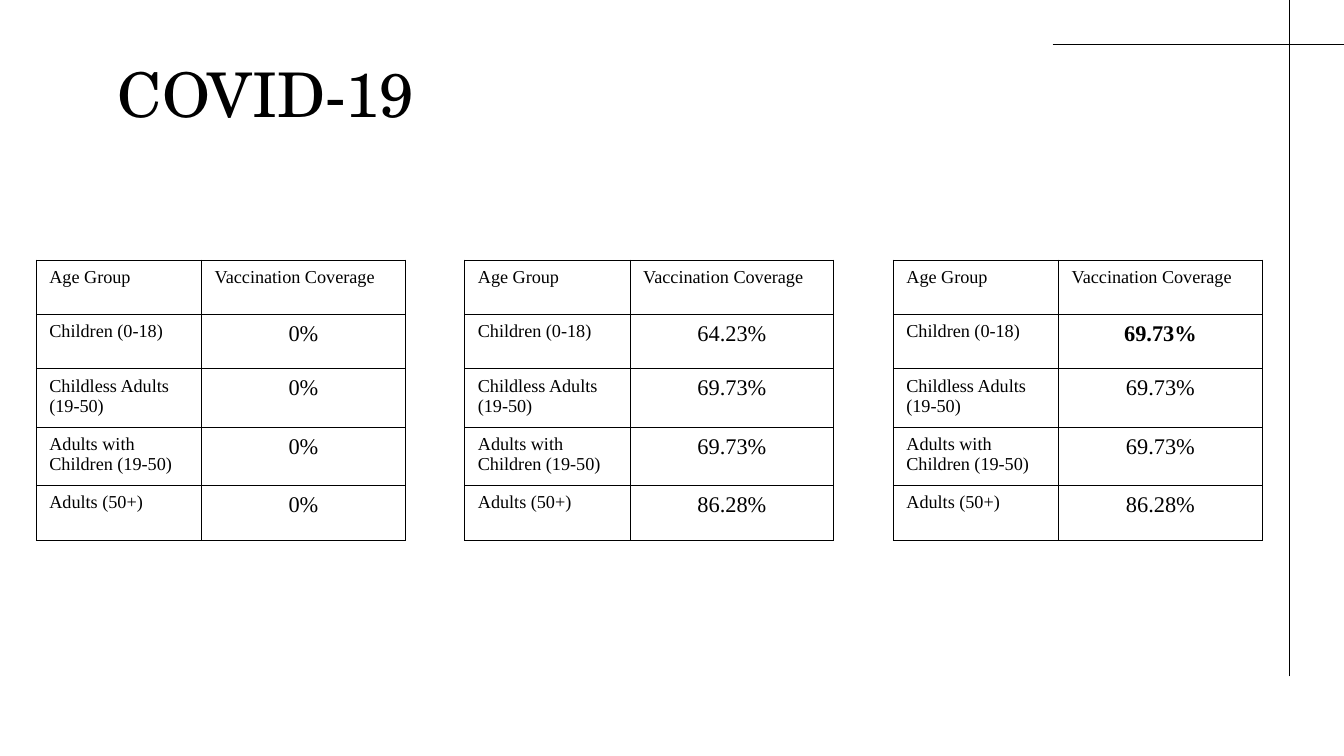
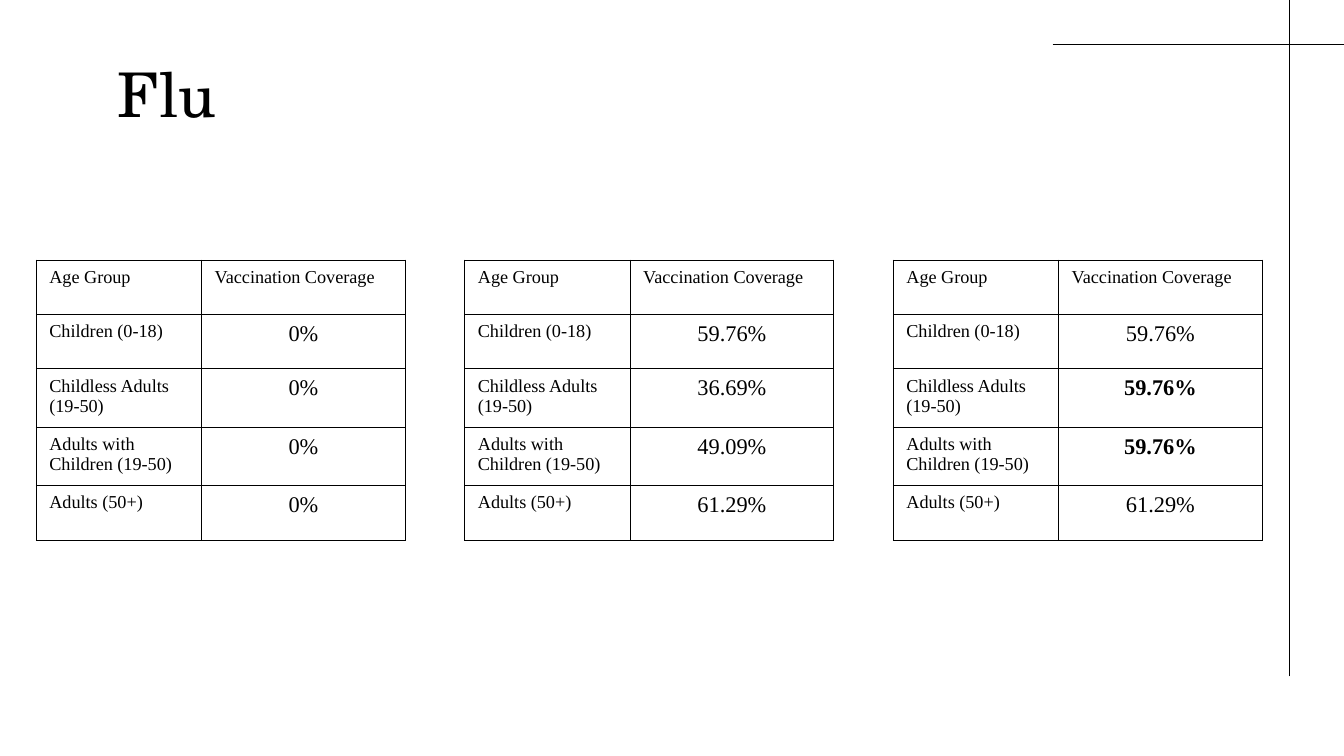
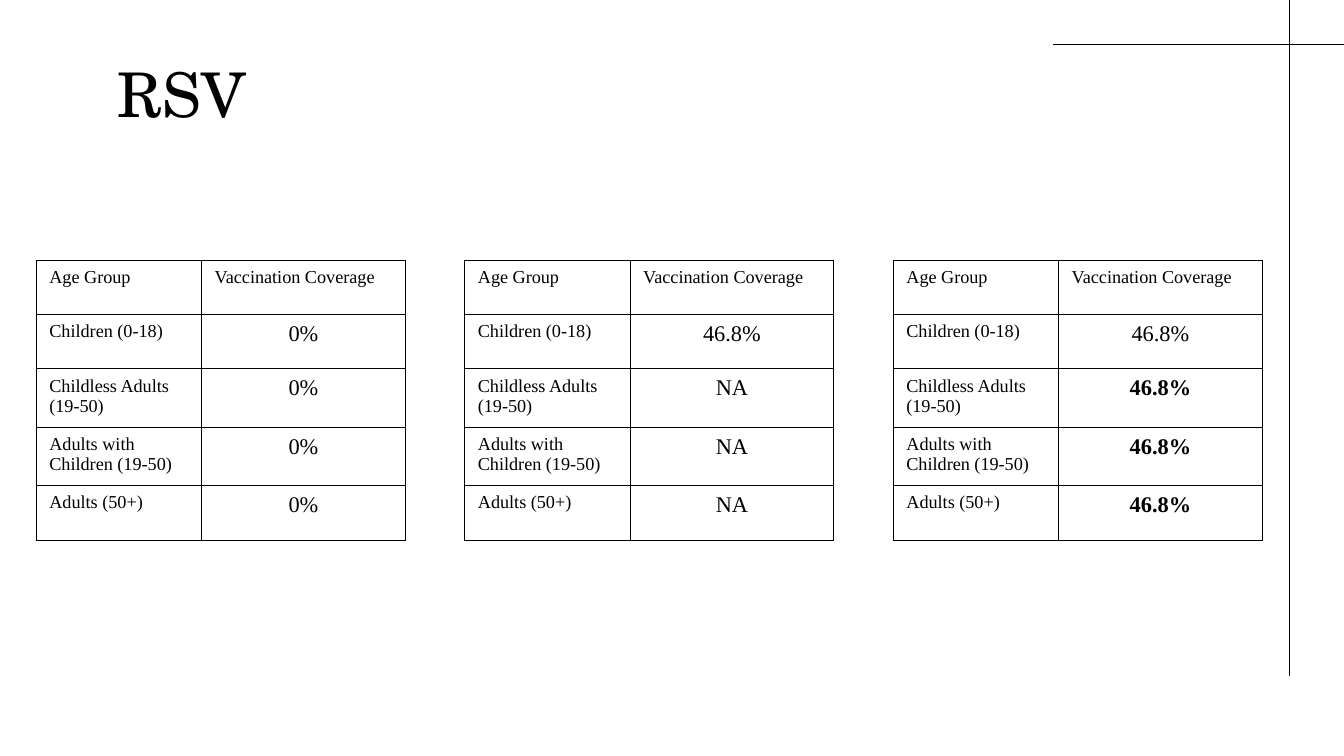
from dataclasses import dataclass

from lxml import etree
from pptx import Presentation
from pptx.dml.color import RGBColor
from pptx.enum import shapes, text
from pptx.oxml import ns
from pptx.util import Inches, Pt


@dataclass(frozen=True)
class Theme:
    ink: RGBColor = RGBColor(0, 0, 0)
    paper: RGBColor = RGBColor(255, 255, 255)
    title_font: str = "TeX Gyre Schola"
    table_font: str = "Times New Roman"
    title_size: int = 44
    label_size: int = 13
    value_size: int = 16
    rule_width: float = 0.75


theme = Theme()

AGE_GROUPS = [
    "Children (0-18)",
    "Childless Adults (19-50)",
    "Adults with Children (19-50)",
    "Adults (50+)",
]
NONE_COVERED = ["0%"] * 4

DISEASES = {
    "COVID-19": (
        ["64.23%", "69.73%", "69.73%", "86.28%"],
        ["69.73%", "69.73%", "69.73%", "86.28%"],
        {0},
    ),
    "Flu": (
        ["59.76%", "36.69%", "49.09%", "61.29%"],
        ["59.76%", "59.76%", "59.76%", "61.29%"],
        {1, 2},
    ),
    "RSV": (
        ["46.8%", "NA", "NA", "NA"],
        ["46.8%"] * 4,
        {1, 2, 3},
    ),
}

COLUMN_WIDTHS = [1.64, 2.02]
ROW_HEIGHTS = [0.54, 0.54, 0.58, 0.58, 0.54]
TABLE_LEFT, TABLE_TOP, TABLE_PITCH = 0.36, 2.58, 4.25
CORNER_RULES = [(10.44, 0.44, 13.33, 0.44), (12.79, 6.71, 12.79, 0)]
TITLE_BOX = {"left": 1.04, "top": 0.51, "width": 11.73, "height": 1.54}
CELL_MARGINS = {
    "margin_left": 0.13,
    "margin_top": 0.07,
    "margin_right": 0.13,
    "margin_bottom": 0.07,
}


def set_font(font, name, size, bold=False):
    font.name = name
    font.size = Pt(size)
    font.bold = bold
    font.color.rgb = theme.ink


def add_coverage_table(slide, left, coverage, changed):
    table = slide.shapes.add_table(
        len(ROW_HEIGHTS), len(COLUMN_WIDTHS), Inches(left), Inches(TABLE_TOP),
        Inches(sum(COLUMN_WIDTHS)), Inches(sum(ROW_HEIGHTS)),
    ).table
    table.first_row = False
    table.horz_banding = False
    for column, width in zip(table.columns, COLUMN_WIDTHS):
        column.width = Inches(width)
    for row, height in zip(table.rows, ROW_HEIGHTS):
        row.height = Inches(height)

    rows = [("Age Group", "Vaccination Coverage"), *zip(AGE_GROUPS, coverage)]
    for row_index, entries in enumerate(rows):
        for column_index, entry in enumerate(entries):
            cell = table.cell(row_index, column_index)
            cell.text = entry
            for margin, length in CELL_MARGINS.items():
                setattr(cell, margin, Inches(length))
            is_value = row_index > 0 and column_index == 1
            paragraph = cell.text_frame.paragraphs[0]
            paragraph.alignment = text.PP_ALIGN.CENTER if is_value else text.PP_ALIGN.LEFT
            set_font(
                paragraph.runs[0].font,
                theme.table_font,
                theme.value_size if is_value else theme.label_size,
                is_value and row_index - 1 in changed,
            )
            properties = cell._tc.get_or_add_tcPr()
            for side in ("a:lnL", "a:lnR", "a:lnT", "a:lnB"):
                border = etree.SubElement(
                    properties, ns.qn(side), w=str(Pt(theme.rule_width))
                )
                fill = etree.SubElement(border, ns.qn("a:solidFill"))
                etree.SubElement(fill, ns.qn("a:srgbClr"), val=str(theme.ink))
            cell.fill.background()


presentation = Presentation()
presentation.slide_width = Inches(13.33)
presentation.slide_height = Inches(7.5)
title_only = presentation.slide_layouts[5]
title_only.background.fill.solid()
title_only.background.fill.fore_color.rgb = theme.paper

for disease, (current, raised, changed) in DISEASES.items():
    slide = presentation.slides.add_slide(title_only)

    for ends in CORNER_RULES:
        rule = slide.shapes.add_connector(
            shapes.MSO_CONNECTOR.STRAIGHT, *[Inches(end) for end in ends]
        )
        rule.line.color.rgb = theme.ink
        rule.line.width = Pt(theme.rule_width)
        etree.SubElement(rule.element.spPr, ns.qn("a:effectLst"))

    title = slide.shapes.title
    for edge, length in TITLE_BOX.items():
        setattr(title, edge, Inches(length))
    heading = title.text_frame
    heading.text = disease
    heading.word_wrap = True
    heading.auto_size = text.MSO_AUTO_SIZE.NONE
    heading.vertical_anchor = text.MSO_ANCHOR.TOP
    for margin in CELL_MARGINS:
        setattr(heading, margin, Inches(0.13))
    heading.paragraphs[0].alignment = text.PP_ALIGN.LEFT
    heading.paragraphs[0].line_spacing = 0.9
    set_font(heading.paragraphs[0].runs[0].font, theme.title_font, theme.title_size)

    scenarios = [(NONE_COVERED, set()), (current, set()), (raised, changed)]
    for position, (coverage, emphasised) in enumerate(scenarios):
        left = TABLE_LEFT + position * TABLE_PITCH
        add_coverage_table(slide, left, coverage, emphasised)

presentation.save("out.pptx")
